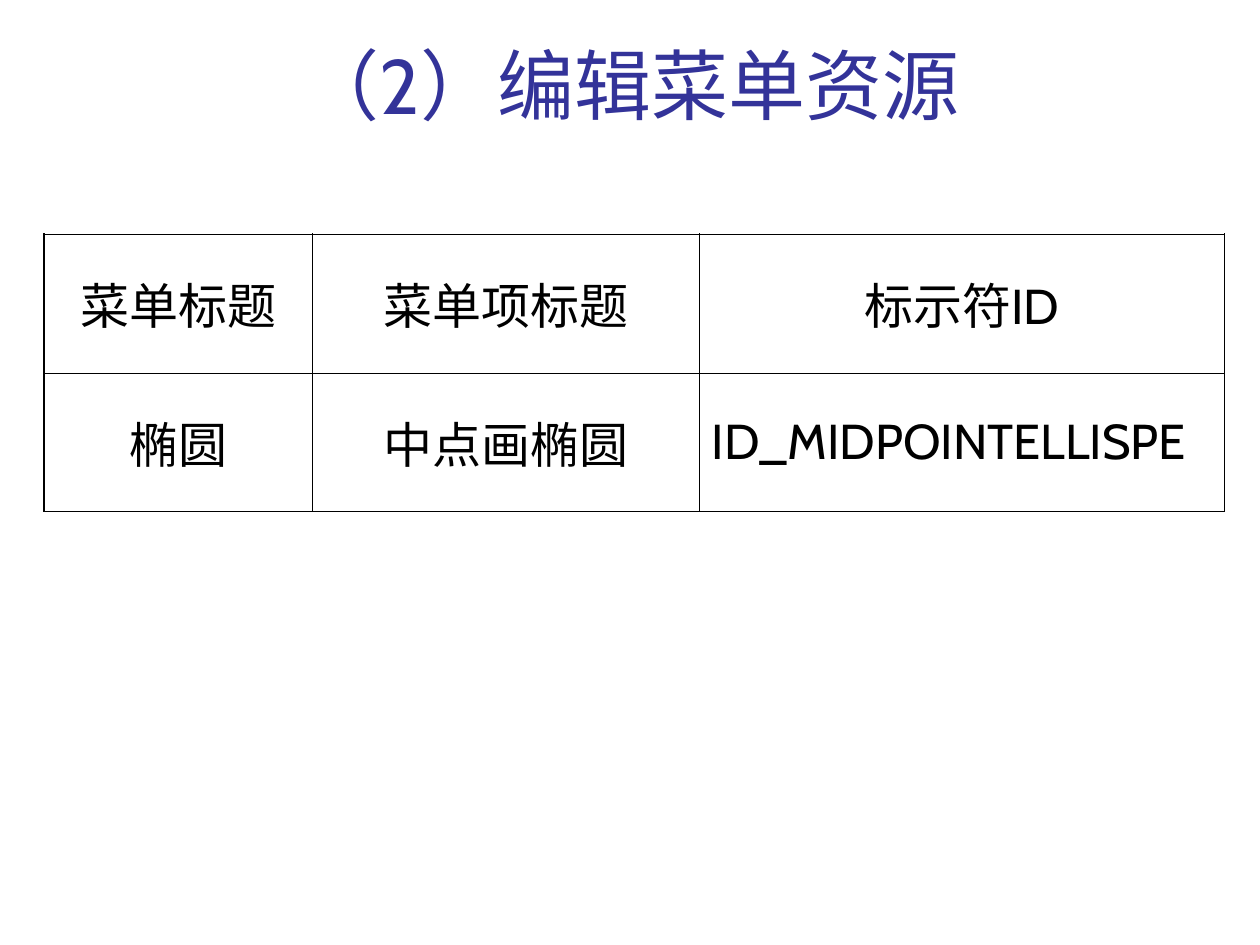
from lxml import etree
from pptx import Presentation
from pptx import util as u
from pptx.dml.color import RGBColor
from pptx.enum import text
from pptx.oxml.ns import qn

TITLE = "（2）编辑菜单资源"
ROWS = [
    ("菜单标题", "菜单项标题", "标示符ID"),
    ("椭圆", "中点画椭圆", "ID_MIDPOINTELLISPE"),
]
COLS = (2.13, 3.07, 4.17)
HIGH = 1.1
FONT = "Cabin"
BLUE = RGBColor(0x33, 0x33, 0x99)
BLACK = RGBColor(0, 0, 0)
THIN, THICK = 0.45, 1.08
MID, LEFT = text.PP_ALIGN.CENTER, text.PP_ALIGN.LEFT


def style(frame, size, color, align):
    para = frame.paragraphs[0]
    para.alignment = align
    font = para.runs[0].font
    font.name, font.size = FONT, u.Pt(size)
    font.color.rgb = color


def border(cell, sides):
    props = cell._tc.get_or_add_tcPr()
    for side, outer in sides:
        width = u.Pt(THICK if outer else THIN)
        line = etree.SubElement(props, qn("a:ln" + side), w=str(int(width)))
        fill = etree.SubElement(line, qn("a:solidFill"))
        etree.SubElement(fill, qn("a:srgbClr"), val=str(BLACK))
    etree.SubElement(props, qn("a:noFill"))


deck = Presentation()
deck.slide_width, deck.slide_height = u.Inches(10), u.Inches(7.5)
slide = deck.slides.add_slide(deck.slide_layouts[6])

box = slide.shapes.add_textbox(*map(u.Inches, (0.75, 0.14, 8.52, 0.94)))
frame = box.text_frame
frame.word_wrap = True
frame.vertical_anchor = text.MSO_ANCHOR.BOTTOM
frame.text = TITLE
style(frame, 44, BLUE, MID)

area = (0.35, 1.86, sum(COLS), HIGH * len(ROWS))
table = slide.shapes.add_table(
    len(ROWS), len(COLS), *map(u.Inches, area)).table
table.first_row = table.horz_banding = False
for col, width in zip(table.columns, COLS):
    col.width = u.Inches(width)

last, end = len(ROWS) - 1, len(COLS) - 1
for r, row in enumerate(ROWS):
    table.rows[r].height = u.Inches(HIGH)
    for c, word in enumerate(row):
        cell = table.cell(r, c)
        cell.text = word
        cell.vertical_anchor = text.MSO_ANCHOR.MIDDLE
        align = LEFT if (r, c) == (last, end) else MID
        style(cell.text_frame, 28, BLACK, align)
        border(cell, (("L", c == 0), ("R", c == end),
                      ("T", r == 0), ("B", r == last)))

deck.save("out.pptx")
